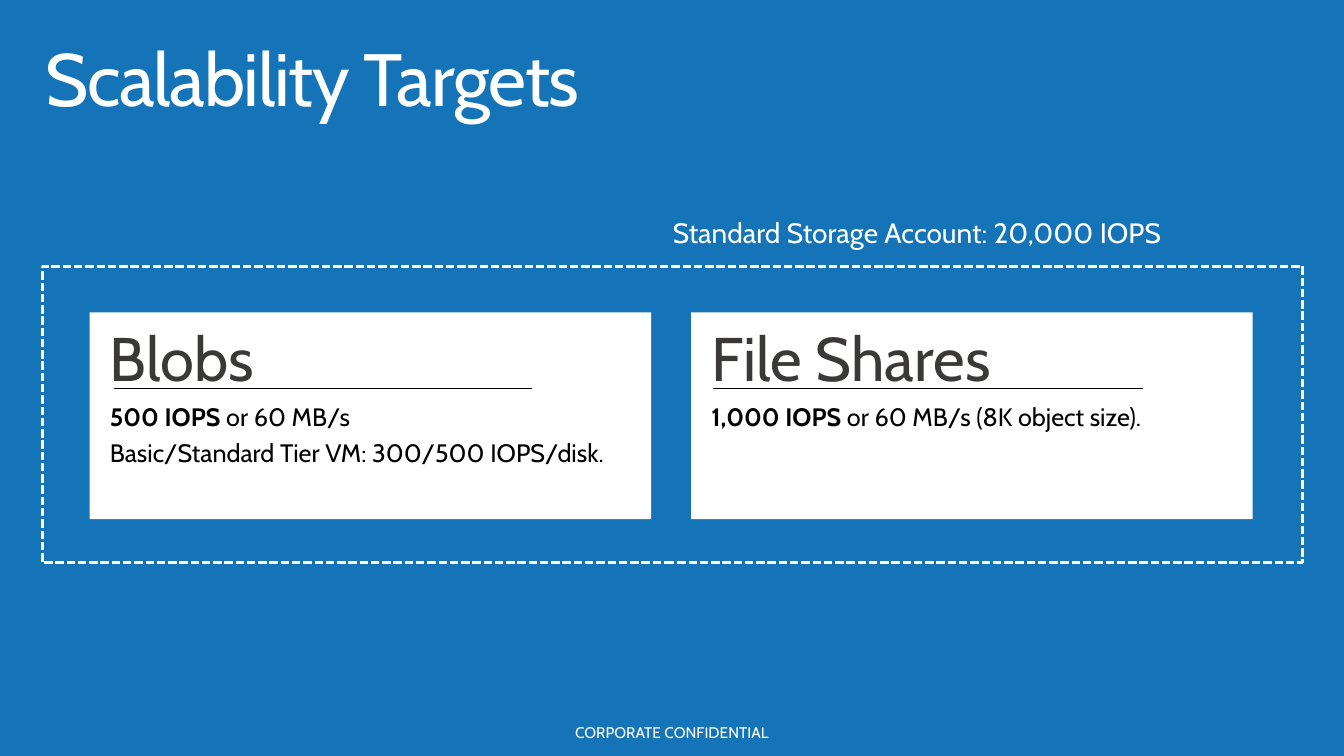
"""Build the slide on storage scalability targets."""
import pptx
import pptx.util
import pptx.dml.color
import pptx.enum.dml
import pptx.enum.shapes
import pptx.enum.text
import lxml.etree

Cm, Pt = pptx.util.Cm, pptx.util.Pt
ALIGN = pptx.enum.text.PP_ALIGN
ANCHOR = pptx.enum.text.MSO_ANCHOR
RECT = pptx.enum.shapes.MSO_SHAPE.RECTANGLE

TITLE = "Scalability Targets"
LIMIT = "Standard Storage Account: 20,000 IOPS"
FOOTER = "CORPORATE CONFIDENTIAL"
CARDS = [
    {"head": "Blobs", "left": 2.26, "rule": (2.87, 13.41), "size": (14.43, 3.33),
     "body": [[("500 IOPS", True), (" or 60 MB/s", False)],
              [("Basic/Standard Tier VM: 300/500 IOPS/disk.", False)]]},
    {"head": "File Shares", "left": 17.42, "rule": (17.96, 28.8), "size": (13.82, 1.52),
     "body": [[("1,000 IOPS", True), (" or 60 MB/s (8K object size).", False)]]},
]
COLORS = {"back": "1574B8", "white": "FFFFFF", "head": "3B3838", "black": "000000"}
FONT = "Cabin"
CARD_TOP, CARD_WIDTH, CARD_HEIGHT, RULE_TOP = 7.87, 14.15, 5.21, 9.8


def color(name):
    return pptx.dml.color.RGBColor.from_string(COLORS[name])


def write(shape, lines, size, tint, align=ALIGN.LEFT, after=0, anchor=ANCHOR.TOP,
          pad=(0.51, 0.41), wrap=True):
    """Fill a shape with paragraphs, each a list of (text, bold) runs."""
    frame = shape.text_frame
    frame.word_wrap = wrap
    frame.auto_size = pptx.enum.text.MSO_AUTO_SIZE.NONE
    frame.vertical_anchor = anchor
    frame.margin_left = frame.margin_right = Cm(pad[0])
    frame.margin_top = frame.margin_bottom = Cm(pad[1])
    for i, line in enumerate(lines):
        para = frame.add_paragraph() if i else frame.paragraphs[0]
        para.alignment = align
        para.line_spacing = 0.9
        para.space_before = Pt(0)
        para.space_after = Pt(after)
        para.font.name = FONT
        para.font.size = Pt(size)
        para.font.color.rgb = color(tint)
        for text, bold in line:
            run = para.add_run()
            run.text = text
            if bold:
                run.font.bold = True


def add_text(slide, box, *args, **kwargs):
    write(slide.shapes.add_textbox(*map(Cm, box)), *args, **kwargs)


def add_rect(slide, box):
    shape = slide.shapes.add_shape(RECT, *map(Cm, box))
    shape.shadow.inherit = False
    return shape


def add_card(slide, card):
    left = card["left"]
    panel = add_rect(slide, (left, CARD_TOP, CARD_WIDTH, CARD_HEIGHT))
    panel.fill.solid()
    panel.fill.fore_color.rgb = color("white")
    panel.line.fill.background()
    write(panel, [[(card["head"], False)]], 44, "head")
    add_text(slide, (left, RULE_TOP, *card["size"]), card["body"], 18, "black", after=6)
    start, end = card["rule"]
    rule = slide.shapes.add_connector(pptx.enum.shapes.MSO_CONNECTOR.STRAIGHT,
                                      Cm(start), Cm(RULE_TOP), Cm(end), Cm(RULE_TOP))
    rule.line.color.rgb = color("black")
    rule.line.width = Pt(0.75)
    lxml.etree.SubElement(rule._element.spPr, pptx.oxml.ns.qn("a:effectLst"))


def main():
    deck = pptx.Presentation()
    deck.slide_width, deck.slide_height = Cm(33.87), Cm(19.05)
    slide = deck.slides.add_slide(deck.slide_layouts[5])
    slide.background.fill.solid()
    slide.background.fill.fore_color.rgb = color("back")

    title = slide.shapes.title
    title.left, title.top, title.width, title.height = map(Cm, (0.74, 0.81, 32.05, 2.49))
    write(title, [[(TITLE, False)]], 52.9, "white", pad=(0.41, 0.25))
    title.text_frame.paragraphs[0].runs[0].font._element.set("spc", "-100")

    for card in CARDS:
        add_card(slide, card)

    frame = add_rect(slide, (1.07, 6.71, 31.75, 7.47))
    frame.fill.background()
    frame.line.color.rgb = color("white")
    frame.line.width = Pt(2)
    frame.line.dash_style = pptx.enum.dml.MSO_LINE.SQUARE_DOT

    add_text(slide, (15.37, 5.11, 14.4, 1.6), [[(LIMIT, False)]], 20, "white",
             align=ALIGN.RIGHT, after=6)
    add_text(slide, (14, 17.88, 5.87, 1.22), [[(FOOTER, False)]], 11, "white",
             align=ALIGN.CENTER, after=5.9, anchor=ANCHOR.MIDDLE, wrap=False)
    deck.save("out.pptx")


if __name__ == "__main__":
    main()
